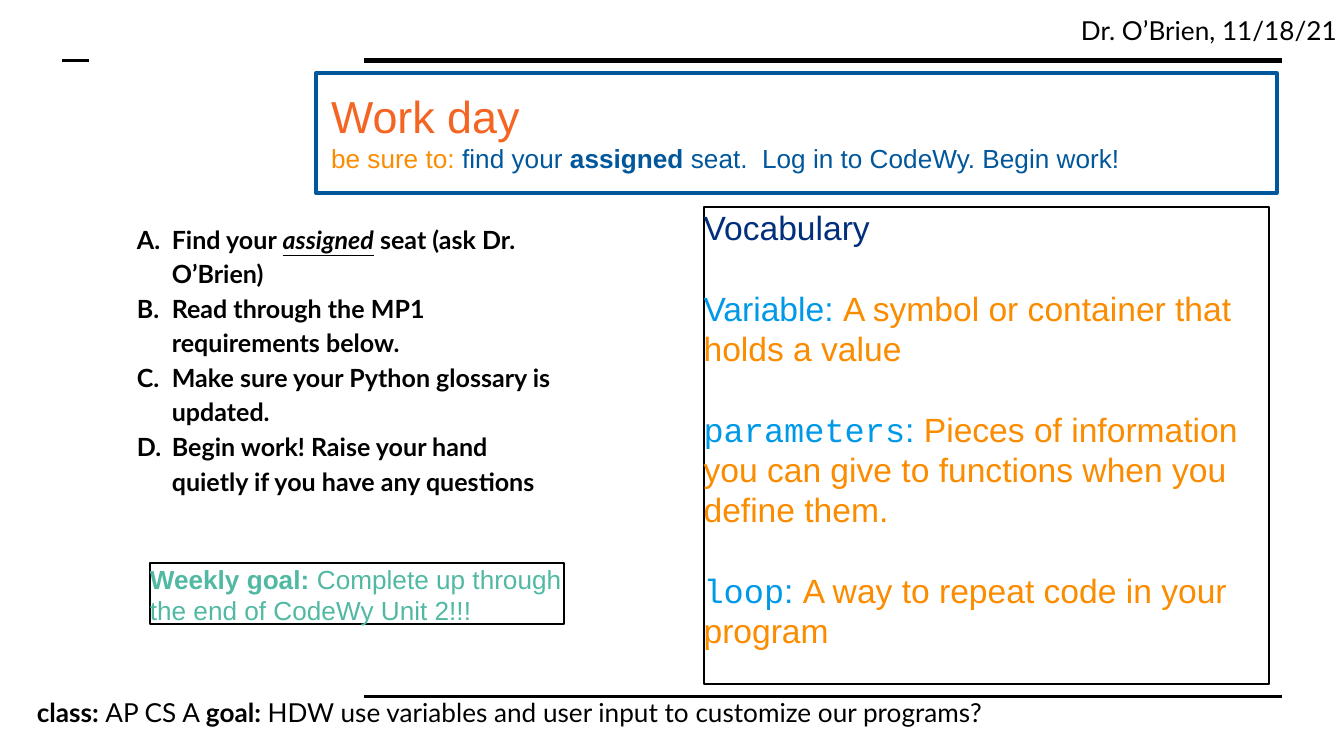
from dataclasses import dataclass

import pptx
import pptx.dml.color
import pptx.enum.shapes
import pptx.enum.text
import pptx.oxml.ns
import pptx.util
from lxml import etree

PX = 4572  # 200 px to the inch
COLORS = {
    "black": "000000", "white": "FFFFFF", "blue": "01579B", "red": "F46524",
    "orange": "FB8C00", "navy": "012F7B", "sky": "0099E8", "green": "51B9A3",
}


@dataclass(frozen=True)
class Span:
    text: str
    color: str = "black"
    bold: bool = False
    font: str = ""
    size: float = 0
    emphasis: bool = False


@dataclass(frozen=True)
class Para:
    spans: tuple[Span, ...]
    before: float = 0
    lettered: bool = False


@dataclass(frozen=True)
class Box:
    left: int
    top: int
    width: int
    height: int
    paras: tuple[Para, ...] = ()
    font: str = "Arial"
    size: float = 14
    inset: int = 20
    right_inset: int = 20
    wrap: bool = True
    line: str = ""
    line_width: float = 1
    fill: str = ""


@dataclass(frozen=True)
class Rule:
    left: int
    right: int
    y: int
    weight: float


def px(length: int) -> int:
    return pptx.util.Emu(length * PX)


def rgb(name: str) -> pptx.dml.color.RGBColor:
    return pptx.dml.color.RGBColor.from_string(COLORS[name])


def add_letter(para) -> None:
    """Number the paragraph A., B., C. with a hanging indent."""
    properties = para._p.get_or_add_pPr()
    properties.set("marL", str(px(52)))
    properties.set("indent", str(px(-52)))
    numbering = etree.SubElement(properties, pptx.oxml.ns.qn("a:buAutoNum"))
    numbering.set("type", "alphaUcPeriod")
    para.line_spacing = 1.15


def write_text(frame, box: Box) -> None:
    frame.word_wrap = box.wrap
    frame.auto_size = pptx.enum.text.MSO_AUTO_SIZE.NONE
    frame.vertical_anchor = pptx.enum.text.MSO_ANCHOR.TOP
    frame.margin_left = frame.margin_top = frame.margin_bottom = px(box.inset)
    frame.margin_right = px(box.right_inset)
    for index, item in enumerate(box.paras):
        para = frame.add_paragraph() if index else frame.paragraphs[0]
        para.alignment = pptx.enum.text.PP_ALIGN.LEFT
        if item.lettered:
            add_letter(para)
        if item.before:
            para.space_before = pptx.util.Pt(item.before)
        for part in item.spans:
            span = para.add_run()
            span.text = part.text
            span.font.name = part.font or box.font
            span.font.size = pptx.util.Pt(part.size or box.size)
            span.font.bold = part.bold
            span.font.italic = span.font.underline = part.emphasis
            span.font.color.rgb = rgb(part.color)


def draw_box(page, box: Box) -> None:
    place = [px(n) for n in (box.left, box.top, box.width, box.height)]
    if box.line:
        shape = page.shapes.add_shape(
            pptx.enum.shapes.MSO_SHAPE.RECTANGLE, *place)
        shape.shadow.inherit = False
        shape.line.color.rgb = rgb(box.line)
        shape.line.width = pptx.util.Pt(box.line_width)
        if box.fill:
            shape.fill.solid()
            shape.fill.fore_color.rgb = rgb(box.fill)
        else:
            shape.fill.background()
    else:
        shape = page.shapes.add_textbox(*place)
    if box.paras:
        write_text(shape.text_frame, box)


def draw_rule(page, rule: Rule) -> None:
    line = page.shapes.add_connector(
        pptx.enum.shapes.MSO_CONNECTOR.STRAIGHT,
        px(rule.left), px(rule.y), px(rule.right), px(rule.y))
    line.line.color.rgb = rgb("black")
    line.line.width = pptx.util.Pt(rule.weight)
    etree.SubElement(line._element.spPr, pptx.oxml.ns.qn("a:effectLst"))


def term(word: str, meaning: str, font: str = "") -> Para:
    """A vocabulary entry, one blank line below the one before."""
    return Para((Span(word, "sky", font=font), Span(": ", "sky"),
                 Span(meaning, "orange")), before=21.6)


def step(*spans: Span) -> Para:
    return Para(spans, lettered=True)


RULES = (Rule(542, 1908, 90, 3), Rule(542, 1908, 1036, 1.5),
         Rule(93, 133, 90, 1.5))

FOOTER = Box(35, 1016, 1870, 88, (Para((
    Span("class: ", bold=True), Span("AP CS A "), Span("goal: ", bold=True),
    Span("HDW use variables and user input to customize our programs?"))),),
    font="Lato")
TEACHER = Box(1589, 2, 411, 88, (Para((Span("Dr. O’Brien, 11/18/21"),)),),
              font="Lato", right_inset=0)
HEADER_FRAME = Box(470, 109, 1430, 178, line="blue", line_width=2, fill="white")
HEADER = Box(473, 112, 1424, 172, (
    Para((Span("Work day", "red", size=24),)),
    Para((Span("be sure to: ", "orange"), Span("find your ", "blue"),
          Span("assigned ", "blue", bold=True),
          Span("seat.  Log in to CodeWy. Begin work!", "blue")))))
VOCABULARY = Box(1047, 308, 842, 710, (
    Para((Span("Vocabulary", "navy"),)),
    term("Variable", "A symbol or container that holds a value"),
    term("parameters", "Pieces of information you can give to functions "
         "when you define them.", "Courier New"),
    term("loop", "A way to repeat code in your program", "Courier New")),
    size=18, inset=0, right_inset=0, line="black")
WEEKLY_GOAL = Box(223, 838, 616, 91, (
    Para((Span("Weekly goal:", "green", bold=True),
          Span(" Complete up through", "green"))),
    Para((Span("the end of CodeWy Unit 2!!!", "green"),))),
    inset=0, right_inset=0, wrap=False, line="black")
STEPS = Box(184, 307, 682, 492, (
    step(Span("Find your ", bold=True),
         Span("assigned", bold=True, emphasis=True),
         Span(" seat (ask Dr. O’Brien)", bold=True)),
    step(Span("Read through the MP1 requirements below.", bold=True)),
    step(Span("Make sure your Python glossary is updated.", bold=True)),
    step(Span("Begin work! Raise your hand quietly if you have any questions",
              bold=True))),
    font="Lato", size=13.4)


def main() -> None:
    deck = pptx.Presentation()
    deck.slide_width, deck.slide_height = px(2000), px(1125)
    page = deck.slides.add_slide(deck.slide_layouts[6])
    for rule in RULES:
        draw_rule(page, rule)
    for box in (FOOTER, TEACHER, HEADER_FRAME, HEADER, VOCABULARY,
                WEEKLY_GOAL, STEPS):
        draw_box(page, box)
    deck.save("out.pptx")


if __name__ == "__main__":
    main()
